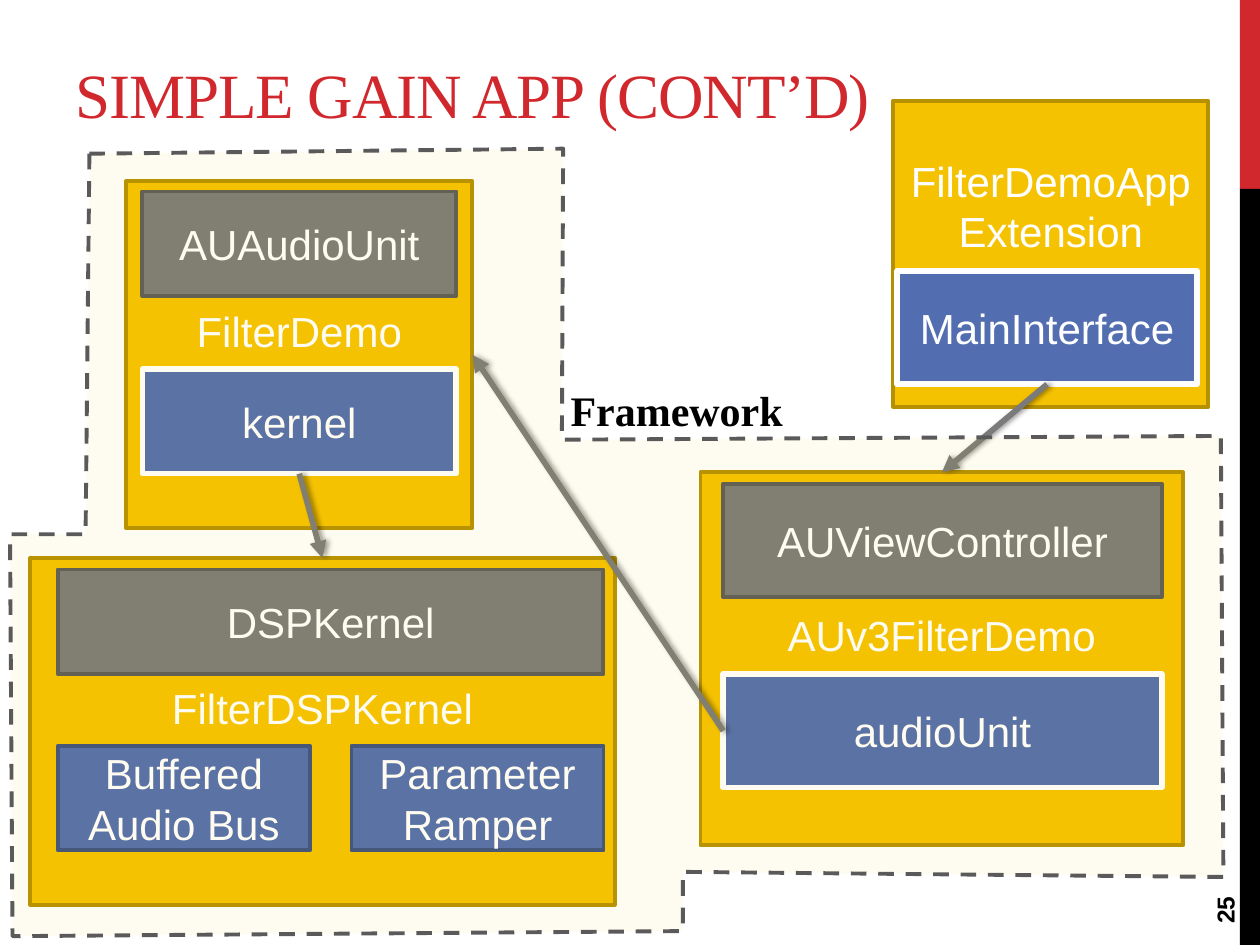
from lxml import etree
from pptx import Presentation
from pptx.dml.color import RGBColor
from pptx.enum import dml, shapes, text
from pptx.oxml import ns
from pptx.util import Inches, Pt

RED, BLACK, WHITE = "D1282E", "000000", "FFFFFF"
YELLOW, GRAY, BLUE = "F5C201", "7A7A7A", "526DB0"
SANS, SERIF = "Arial", "Times New Roman"
TOP, LEFT, BOTTOM, RIGHT = range(4)

STYLES = {
    "panel": (YELLOW, "B59001", 2.25),
    "base": (GRAY, "5A5A5A", 2.25),
    "member": (BLUE, "3D5182", 2.25),
    "outlet": (BLUE, WHITE, 3.25),
}
SIDEBAR = [(RED, 0, 1.5), (BLACK, 1.5, 6)]
CLASSES = [
    ("panel", "FilterDSPKernel", (0.24, 4.43, 4.64, 2.75), 0.43),
    ("base", "DSPKernel", (0.46, 4.52, 4.33, 0.83), 0.05),
    ("member", "Buffered Audio Bus", (0.46, 5.92, 2, 0.83), 0.05),
    ("member", "Parameter Ramper", (2.79, 5.92, 2, 0.83), 0.05),
    ("panel", "FilterDemo", (1, 1.44, 2.75, 2.75), 0.43),
    ("base", "AUAudioUnit", (1.13, 1.52, 2.49, 0.83), 0.05),
    ("outlet", "kernel", (1.13, 2.93, 2.49, 0.83), 0.05),
    ("panel", "AUv3FilterDemo", (5.56, 3.75, 3.83, 2.96), 0.43),
    ("base", "AUViewController", (5.74, 3.84, 3.48, 0.9), 0.05),
    ("outlet", "audioUnit", (5.74, 5.35, 3.48, 0.9), 0.05),
    ("panel", "FilterDemoAppExtension", (7.09, 0.8, 2.5, 2.43), 0.81),
    ("outlet", "MainInterface", (7.12, 2.15, 2.38, 0.9), 0.05),
]
REFERENCES = [
    ("kernel", BOTTOM, "FilterDSPKernel", TOP),
    ("audioUnit", LEFT, "FilterDemo", RIGHT),
    ("MainInterface", BOTTOM, "AUv3FilterDemo", TOP),
]
FRAMEWORK = [
    (0.71, 1.22), (0.68, 4.24), (0.08, 4.24), (0.1, 7.43), (5.42, 7.39),
    (5.42, 6.92), (9.71, 6.96), (9.69, 3.46), (4.46, 3.49), (4.47, 1.18),
]


def rgb(color):
    return RGBColor.from_string(color)


def paint(shape, fill, line=None, width=0):
    shape.shadow.inherit = False
    shape.fill.solid()
    shape.fill.fore_color.rgb = rgb(fill)
    if line:
        shape.line.color.rgb = rgb(line)
        shape.line.width = Pt(width)
    else:
        shape.line.fill.background()


def write(shape, words, size, font, color, bold=False):
    run = shape.text_frame.paragraphs[0].add_run()
    run.text = words
    run.font.size = Pt(size)
    run.font.name = font
    run.font.bold = bold
    run.font.color.rgb = rgb(color)
    return run


def add_box(slide, place):
    return slide.shapes.add_shape(shapes.MSO_SHAPE.RECTANGLE, *map(Inches, place))


def add_label(slide, place, anchor, wrap=True):
    label = slide.shapes.add_textbox(*map(Inches, place))
    label.text_frame.word_wrap = wrap
    label.text_frame.vertical_anchor = anchor
    return label


def add_class(slide, style, name, place, bottom):
    box = add_box(slide, place)
    paint(box, *STYLES[style])
    frame = box.text_frame
    frame.word_wrap = True
    frame.margin_bottom = Inches(bottom)
    frame.vertical_anchor = text.MSO_ANCHOR.MIDDLE
    frame.paragraphs[0].alignment = text.PP_ALIGN.CENTER
    write(box, name, 24, SANS, WHITE)
    return box


def child(parent, tag, **attributes):
    return etree.SubElement(parent, ns.qn(tag), **attributes)


def add_reference(slide, start, start_side, end, end_side):
    arrow = slide.shapes.add_connector(shapes.MSO_CONNECTOR.STRAIGHT, 0, 0, 0, 0)
    arrow.begin_connect(start, start_side)
    arrow.end_connect(end, end_side)
    arrow.line.color.rgb = rgb(GRAY)
    arrow.line.width = Pt(3.25)
    child(arrow.line._get_or_add_ln(), "a:tailEnd", type="triangle")
    effects = child(arrow._element.spPr, "a:effectLst")
    shadow = child(effects, "a:outerShdw", blurRad=str(Pt(3.1)), dist=str(Pt(1.8)),
                   dir="0", rotWithShape="0")
    child(child(shadow, "a:srgbClr", val=BLACK), "a:alpha", val="40000")


def add_framework(slide):
    points = [(Inches(x), Inches(y)) for x, y in FRAMEWORK]
    builder = slide.shapes.build_freeform(*points[0])
    builder.add_line_segments(points[1:], close=True)
    outline = builder.convert_to_shape()
    paint(outline, YELLOW, "5A5A5A", 2.25)
    outline.line.dash_style = dml.MSO_LINE.DASH
    fill_color = outline._element.spPr.find(ns.qn("a:solidFill"))[0]
    child(fill_color, "a:alpha", val="6000")


def main():
    deck = Presentation()
    deck.slide_width, deck.slide_height = Inches(10), Inches(7.5)
    slide = deck.slides.add_slide(deck.slide_layouts[6])

    for color, top, height in SIDEBAR:
        paint(add_box(slide, (9.84, top, 0.16, height)), color)

    title = add_label(slide, (0.5, 0.17, 8.75, 0.92), text.MSO_ANCHOR.BOTTOM)
    heading = write(title, "SIMPLE GAIN APP (CONT’D)", 36, SERIF, RED)
    heading._r.get_or_add_rPr().set("spc", "-60")

    number = add_label(slide, (9, 6.51, 1.44, 0.4), text.MSO_ANCHOR.MIDDLE)
    number.rotation = 270
    write(number, "25", 14, SANS, BLACK, True)

    boxes = {entry[1]: add_class(slide, *entry) for entry in CLASSES}
    for start, start_side, end, end_side in REFERENCES:
        add_reference(slide, boxes[start], start_side, boxes[end], end_side)

    add_framework(slide)
    caption = add_label(slide, (4.43, 3, 1.9, 0.5), text.MSO_ANCHOR.TOP, False)
    write(caption, "Framework", 24, SERIF, BLACK, True)

    deck.save("out.pptx")


if __name__ == "__main__":
    main()
